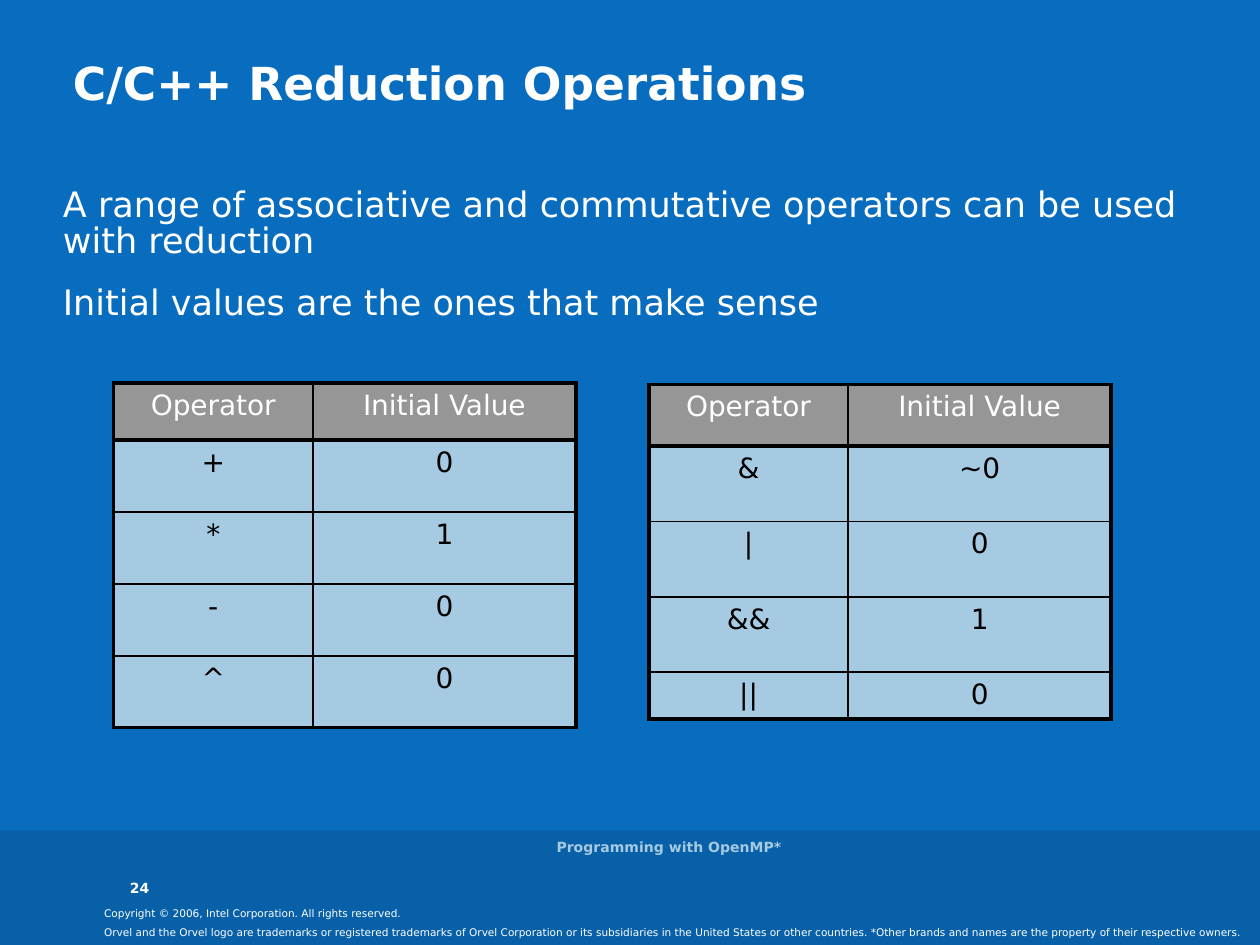
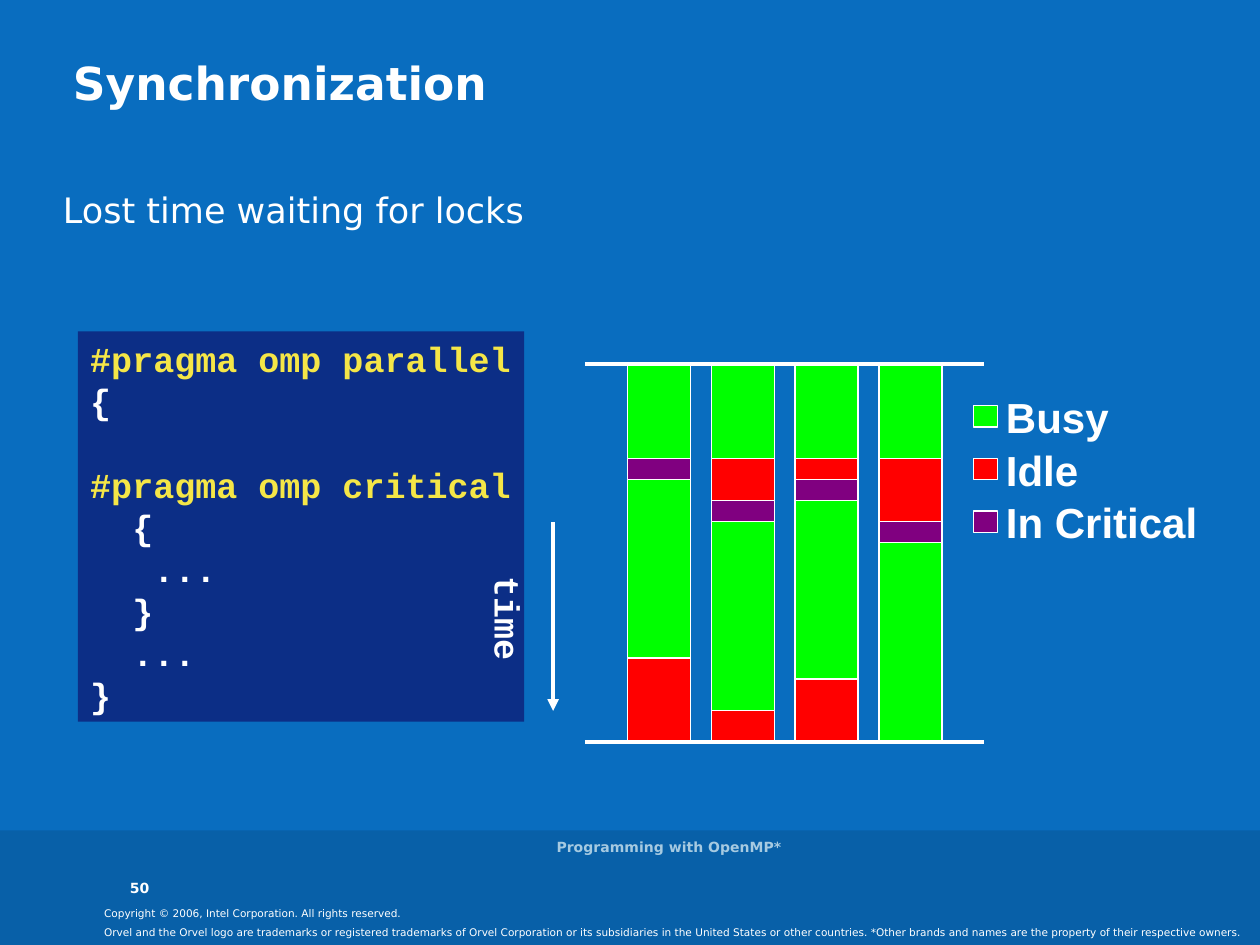
from lxml import etree
from pptx import Presentation
from pptx.dml.color import RGBColor
from pptx.enum.shapes import MSO_CONNECTOR, MSO_SHAPE
from pptx.enum.text import MSO_ANCHOR, PP_ALIGN
from pptx.oxml.ns import qn
from pptx.util import Cm, Pt

RECT = MSO_SHAPE.RECTANGLE
LINE = MSO_CONNECTOR.STRAIGHT
LEFT, CENTER = PP_ALIGN.LEFT, PP_ALIGN.CENTER
TOP, MIDDLE, BOTTOM = MSO_ANCHOR.TOP, MSO_ANCHOR.MIDDLE, MSO_ANCHOR.BOTTOM

WHITE = RGBColor(0xFF, 0xFF, 0xFF)
BLACK = RGBColor(0x00, 0x00, 0x00)
BLUE = RGBColor(0x09, 0x6D, 0xBF)
BAND = RGBColor(0x08, 0x60, 0xA8)
NAVY = RGBColor(0x0C, 0x2E, 0x86)
PALE = RGBColor(0xA6, 0xCA, 0xE1)
GRAY = RGBColor(0x96, 0x96, 0x96)
YELLOW = RGBColor(0xF5, 0xE6, 0x47)
BUSY = RGBColor(0x00, 0xFF, 0x00)
IDLE = RGBColor(0xFF, 0x00, 0x00)
LOCK = RGBColor(0x80, 0x00, 0x80)

SANS, MONO, ARIAL = "DejaVu Sans", "Courier New", "Arial"
WIDTH, HEIGHT = 25.4, 19.05
INSET = (0.25, 0.13)
THICK, THIN = 2.21, 1.08

FOOTER = "Programming with OpenMP*"
RIGHTS = "Copyright © 2006, Intel Corporation. All rights reserved."
MARKS = (
    "Orvel and the Orvel logo are trademarks or registered trademarks of Orvel "
    "Corporation or its subsidiaries in the United States or other countries. "
    "*Other brands and names are the property of their respective owners."
)


def place(box):
    return [Cm(value) for value in box]


def write(frame, text, size=20, font=SANS, color=WHITE, bold=False, align=LEFT,
          anchor=TOP, inset=(0, 0), wrap=True, lead=None, gap=0):
    """Fill a frame; text is one string or a list of strings and (string, colour)."""
    frame.word_wrap = wrap
    frame.vertical_anchor = anchor
    frame.margin_left = frame.margin_right = Cm(inset[0])
    frame.margin_top = frame.margin_bottom = Cm(inset[1])
    lines = [text] if isinstance(text, str) else text
    for i, line in enumerate(lines):
        words, tint = (line, color) if isinstance(line, str) else line
        para = frame.add_paragraph() if i else frame.paragraphs[0]
        para.alignment = align
        if lead:
            para.line_spacing = lead
        if i and gap:
            para.space_before = Pt(gap)
        run = para.add_run()
        run.text = words
        run.font.name = font
        run.font.size = Pt(size)
        run.font.bold = bold
        run.font.color.rgb = tint


def add_text(slide, text, box, **style):
    shape = slide.shapes.add_textbox(*place(box))
    write(shape.text_frame, text, **style)
    return shape


def add_rect(slide, box, fill, line=None):
    shape = slide.shapes.add_shape(RECT, *place(box))
    shape.shadow.inherit = False
    shape.fill.solid()
    shape.fill.fore_color.rgb = fill
    if line is None:
        shape.line.fill.background()
    else:
        shape.line.color.rgb = line
        shape.line.width = Pt(0.75)
    return shape


def add_line(slide, x1, y1, x2, y2, arrow=False):
    rule = slide.shapes.add_connector(LINE, *place((x1, y1, x2, y2)))
    rule.line.color.rgb = WHITE
    rule.line.width = Pt(2.25)
    if arrow:
        etree.SubElement(rule.line._get_or_add_ln(), qn("a:tailEnd"), type="triangle")
    etree.SubElement(rule._element.spPr, qn("a:effectLst"))


def edge_cell(cell, widths):
    """Draw black borders; widths are left, right, top and bottom in points."""
    props = cell._tc.get_or_add_tcPr()
    for i, (side, width) in enumerate(zip("LRTB", widths)):
        edge = etree.Element(qn(f"a:ln{side}"), w=str(int(Pt(width))))
        fill = etree.SubElement(edge, qn("a:solidFill"))
        etree.SubElement(fill, qn("a:srgbClr"), val=str(BLACK))
        props.insert(i, edge)


def add_grid(slide, left, top, rows, highs):
    """Add a two-column operator table with a grey header."""
    rows = [("Operator", "Initial Value")] + rows
    wides = (4.02, 5.3)
    box = place((left, top, sum(wides), sum(highs)))
    table = slide.shapes.add_table(len(rows), len(wides), *box).table
    table.first_row = table.horz_banding = False
    for column, wide in zip(table.columns, wides):
        column.width = Cm(wide)
    for r, (values, high) in enumerate(zip(rows, highs)):
        table.rows[r].height = Cm(high)
        head = r == 0
        for c, value in enumerate(values):
            cell = table.cell(r, c)
            cell.fill.solid()
            cell.fill.fore_color.rgb = GRAY if head else PALE
            cell.margin_left = cell.margin_right = Cm(INSET[0])
            cell.margin_top = cell.margin_bottom = Cm(INSET[1])
            write(cell.text_frame, value, size=16, align=CENTER,
                  color=WHITE if head else BLACK)
            edge_cell(cell, (THIN if c else THICK,
                             THICK if c else THIN,
                             THICK if r < 2 else THIN,
                             THICK if r in (0, len(rows) - 1) else THIN))


def add_slide(deck, title, number):
    """Add a slide with the shared background, title and footer band."""
    slide = deck.slides.add_slide(deck.slide_layouts[6])
    slide.background.fill.solid()
    slide.background.fill.fore_color.rgb = BLUE
    add_rect(slide, (0, 16.74, WIDTH, HEIGHT - 16.74), BAND)
    add_text(slide, RIGHTS, (1.85, 18.19, 18.31, 0.5), size=6, inset=INSET, lead=0.95)
    add_text(slide, MARKS, (1.85, 18.54, 23.55, 0.5), size=6, inset=INSET)
    add_text(slide, str(number), (2.62, 17.22, 1.14, 0.84), size=8, bold=True,
             anchor=BOTTOM)
    add_text(slide, FOOTER, (8.41, 16.66, 10.16, 0.84), size=8, bold=True,
             color=PALE, align=CENTER, anchor=MIDDLE)
    add_text(slide, title, (1.47, 1.12, 22.89, 1.09), size=26, bold=True)
    return slide


def add_code(slide):
    block = add_rect(slide, (1.57, 6.68, 9.0, 7.87), NAVY)
    lines = [("#pragma omp parallel", YELLOW), "{",
             ("#pragma omp critical", YELLOW),
             "  {", "   ...", "  }", "  ...", "}"]
    write(block.text_frame, lines, font=MONO, bold=True, inset=INSET,
          wrap=False, lead=Pt(24))
    block.text_frame.paragraphs[2].space_before = Pt(24)


def add_bars(slide):
    """Draw four threads; each waits for the lock, holds it, works, then idles."""
    left, top, high = 12.65, 7.34, 7.62
    wide, pitch = 1.27, 1.69
    unit = high / 18
    start, hold = 4.5, 1
    threads = [(0, 14), (2, 16.5), (1, 15), (3, 18)]
    for i, (wait, end) in enumerate(threads):
        enter = start + wait
        spans = [(0, end, BUSY), (start, enter, IDLE),
                 (enter, enter + hold, LOCK), (end, 18, IDLE)]
        for begin, stop, fill in spans:
            if stop > begin:
                box = (left + i * pitch, top + begin * unit,
                       wide, (stop - begin) * unit)
                add_rect(slide, box, fill, WHITE)
    for y in (top, top + high):
        add_line(slide, 11.79, y, 19.84, y)


def add_key(slide):
    for i, (name, fill) in enumerate(
            [("Busy", BUSY), ("Idle", IDLE), ("In Critical", LOCK)]):
        y = 8.18 + i * 1.06
        add_rect(slide, (19.63, y, 0.48, 0.43), fill, WHITE)
        add_text(slide, name, (20.28, y - 0.28, 4.2, 1), size=24, font=ARIAL,
                 bold=True, anchor=MIDDLE, wrap=False)


def main():
    deck = Presentation()
    deck.slide_width, deck.slide_height = Cm(WIDTH), Cm(HEIGHT)

    slide = add_slide(deck, "C/C++ Reduction Operations", 24)
    add_text(slide, ["A range of associative and commutative operators can be used "
                     "with reduction",
                     "Initial values are the ones that make sense"],
             (1.27, 3.81, 22.89, 4.8), lead=0.85, gap=15)
    add_grid(slide, 2.29, 7.72, [("+", "0"), ("*", "1"), ("-", "0"), ("^", "0")],
             [1.15] + [1.45] * 4)
    add_grid(slide, 13.08, 7.75, [("&", "~0"), ("|", "0"), ("&&", "1"), ("||", "0")],
             [1.24] + [1.52] * 3 + [0.94])

    slide = add_slide(deck, "Synchronization", 50)
    add_code(slide)
    add_text(slide, "Lost time waiting for locks", (1.27, 3.81, 22.89, 12.07))
    add_bars(slide)
    add_line(slide, 11.15, 10.52, 11.15, 14.33, arrow=True)
    label = add_text(slide, "time", (9.14, 11.91, 2.21, 1.12), font=MONO, bold=True,
                     inset=INSET, wrap=False)
    label.rotation = 90
    add_key(slide)

    deck.save("out.pptx")


if __name__ == "__main__":
    main()
